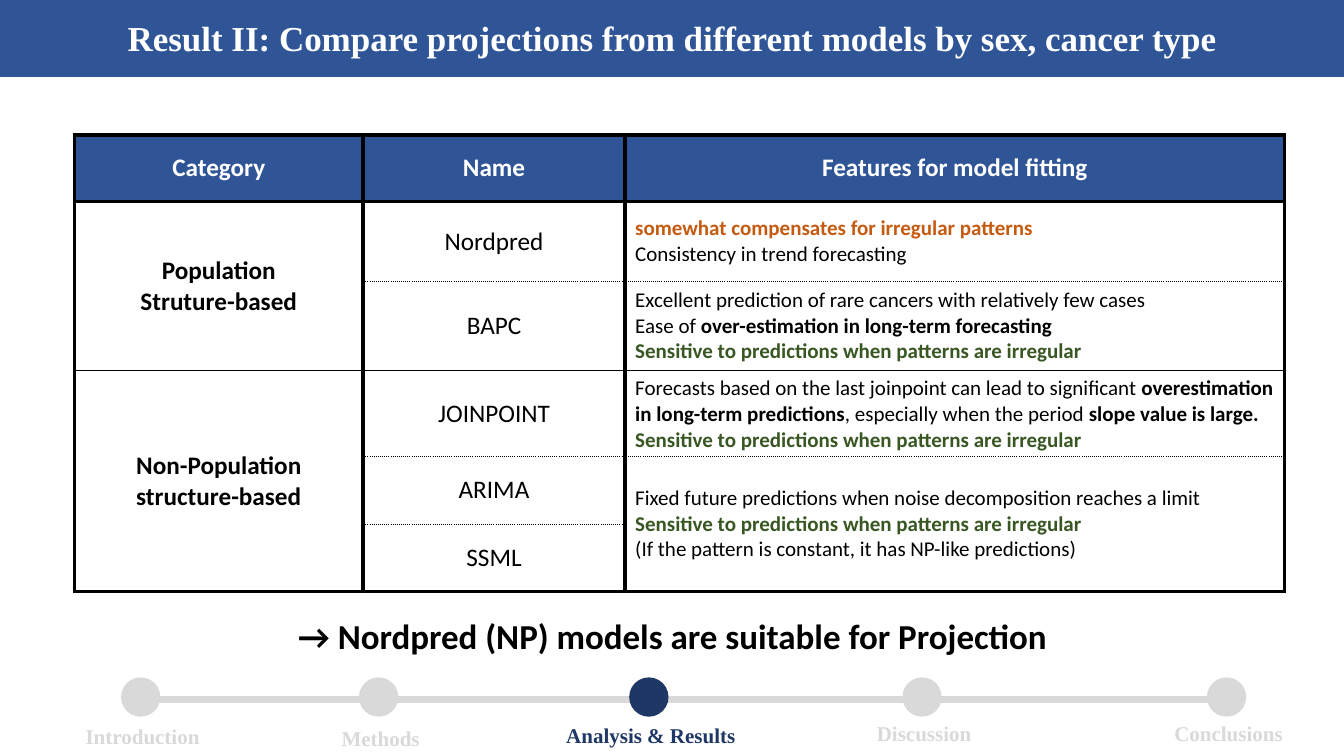
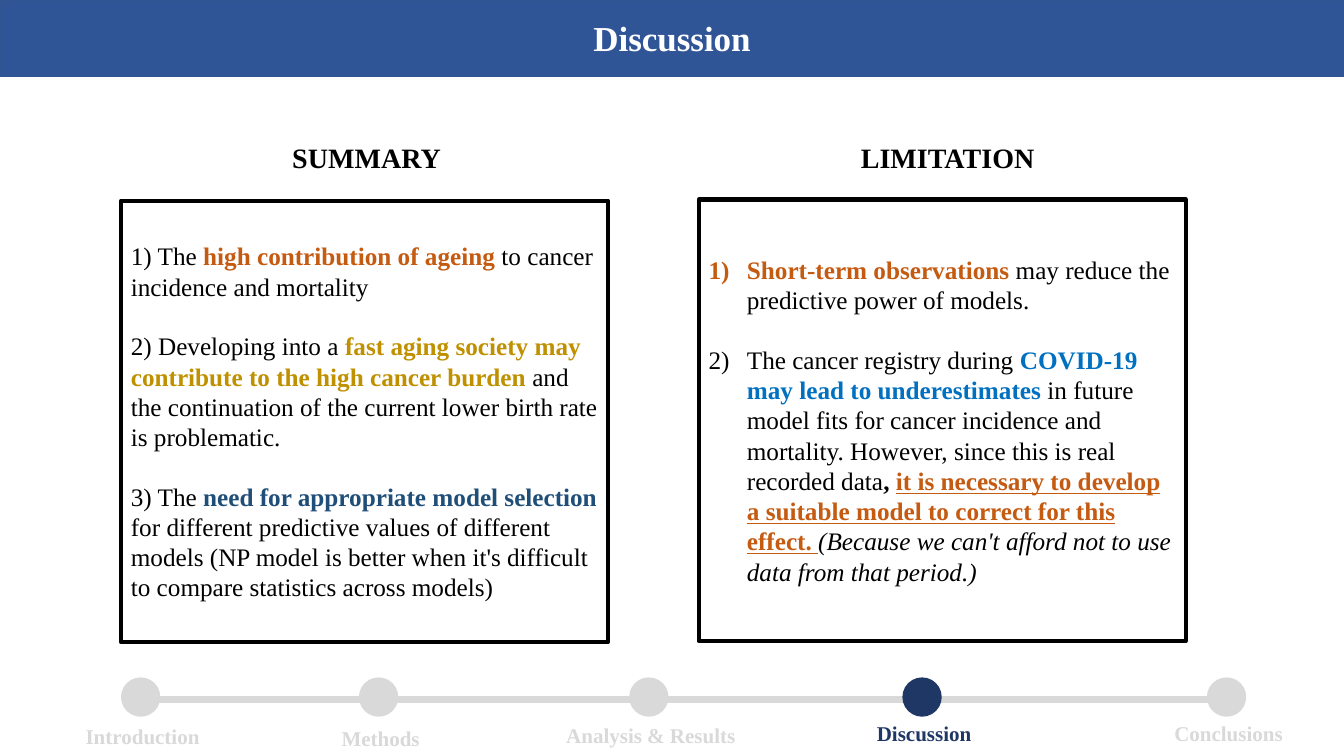
from dataclasses import dataclass, replace
from typing import NamedTuple, Optional

from lxml.etree import SubElement
from pptx import Presentation
from pptx.dml.color import RGBColor
from pptx.enum.shapes import MSO_CONNECTOR, MSO_SHAPE
from pptx.enum.text import MSO_ANCHOR, MSO_AUTO_SIZE, PP_ALIGN
from pptx.oxml.ns import qn
from pptx.presentation import Presentation as Deck
from pptx.shapes.autoshape import Shape
from pptx.slide import Slide
from pptx.table import _Cell as Cell
from pptx.text.text import Font, TextFrame
from pptx.util import Inches, Pt


@dataclass(frozen=True)
class Theme:
    serif: str = "Times New Roman"
    sans: str = "Calibri"
    band: str = "2F5597"
    band_line: str = "325491"
    inactive: str = "D9D9D9"
    active: str = "1F3764"
    white: str = "FFFFFF"
    black: str = "000000"
    orange: str = "C55A11"
    green: str = "385723"
    gold: str = "BF9000"
    navy: str = "1F4E79"
    blue: str = "0070C0"
    title_size: float = 25
    heading_size: float = 20
    body_size: float = 18
    small_size: float = 15
    paragraph_gap: float = 21
    thick: float = 3
    thin: float = 1


THEME = Theme()
SLIDE_WIDTH = 13.33
SLIDE_HEIGHT = 7.5


@dataclass(frozen=True)
class Style:
    font: str
    size: float
    color: str = THEME.black
    bold: bool = False
    align: PP_ALIGN = PP_ALIGN.CENTER


class Run(NamedTuple):
    text: str
    color: Optional[str] = None
    bold: Optional[bool] = None
    italic: Optional[bool] = None
    underline: Optional[bool] = None


Lines = list[list[Run]]


class Box(NamedTuple):
    left: float
    top: float
    width: float
    height: float

    def lengths(self) -> list[Inches]:
        return [Inches(value) for value in self]


class Step(NamedTuple):
    name: str
    left: float
    label_top: float
    label_width: float


class Edge(NamedTuple):
    width: float
    dash: str = "solid"


class Entry(NamedTuple):
    row: int
    column: int
    row_span: int
    lines: Lines


class Panel(NamedTuple):
    heading: str
    heading_box: Box
    box: Box
    lines: Lines
    numbered: bool


TITLE = Style(THEME.serif, THEME.title_size, THEME.white, True)
STEP_LABEL = Style(THEME.serif, THEME.small_size, THEME.inactive, True)
HEADING = Style(THEME.serif, THEME.heading_size, bold=True, align=PP_ALIGN.LEFT)
PANEL_TEXT = Style(THEME.serif, THEME.body_size, align=PP_ALIGN.LEFT)
CONCLUSION = Style(THEME.sans, THEME.title_size, bold=True)
TABLE_HEADER = Style(THEME.sans, THEME.body_size, THEME.white, True)
COLUMN_STYLES = [
    Style(THEME.sans, THEME.body_size, bold=True),
    Style(THEME.sans, THEME.body_size),
    Style(THEME.sans, THEME.small_size, align=PP_ALIGN.LEFT),
]

STEPS = [
    Step("Introduction", 1.2, 7.13, 1.34),
    Step("Methods", 3.56, 7.15, 0.99),
    Step("Analysis & Results", 6.24, 7.12, 1.9),
    Step("Discussion", 8.95, 7.1, 1.15),
    Step("Conclusions", 11.97, 7.1, 1.29),
]
DOT_TOP = 6.72
DOT_SIZE = 0.39
LABEL_SHIFT = 0.02

TABLE_BOX = Box(0.74, 1.34, 12, 4.52)
COLUMN_WIDTHS = [2.86, 2.6, 6.54]
ROW_HEIGHTS = [0.66, 0.79, 0.89, 0.84, 0.67, 0.67]
OUTER = Edge(THEME.thick)
INNER = Edge(THEME.thin)
DOTTED = Edge(THEME.thin, "sysDot")
ROW_EDGES = [OUTER, OUTER, DOTTED, INNER, DOTTED, DOTTED, OUTER]
SENSITIVE = [Run("Sensitive to predictions when patterns are irregular", THEME.green, True)]
ENTRIES = [
    Entry(0, 0, 1, [[Run("Category")]]),
    Entry(0, 1, 1, [[Run("Name")]]),
    Entry(0, 2, 1, [[Run("Features for model fitting")]]),
    Entry(1, 0, 2, [[Run("Population")], [Run("Struture-based")]]),
    Entry(1, 1, 1, [[Run("Nordpred")]]),
    Entry(1, 2, 1, [
        [Run("somewhat compensates for irregular patterns", THEME.orange, True)],
        [Run("Consistency in trend forecasting")],
    ]),
    Entry(2, 1, 1, [[Run("BAPC")]]),
    Entry(2, 2, 1, [
        [Run("Excellent prediction of rare cancers with relatively few cases")],
        [Run("Ease of"), Run(" over-estimation in long-term forecasting", bold=True)],
        SENSITIVE,
    ]),
    Entry(3, 0, 3, [[Run("Non-Population")], [Run("structure-based")]]),
    Entry(3, 1, 1, [[Run("JOINPOINT")]]),
    Entry(3, 2, 1, [
        [
            Run("Forecasts based on the last joinpoint can lead to significant "),
            Run("overestimation in long-term predictions", bold=True),
            Run(", especially when the period "),
            Run("slope value is large.", bold=True),
        ],
        SENSITIVE,
    ]),
    Entry(4, 1, 1, [[Run("ARIMA")]]),
    Entry(4, 2, 2, [
        [Run("Fixed future predictions when noise decomposition reaches a limit")],
        SENSITIVE,
        [Run("(If the pattern is constant, it has NP-like predictions)")],
    ]),
    Entry(5, 1, 1, [[Run("SSML")]]),
]

PANELS = [
    Panel("SUMMARY", Box(2.8, 1.34, 1.69, 0.44), Box(1.2, 1.99, 4.83, 4.38), [
        [
            Run("1) The "),
            Run("high contribution of ageing", THEME.orange, True),
            Run(" to cancer incidence and mortality"),
        ],
        [
            Run("2) Developing into a "),
            Run("fast aging society may contribute to the high cancer burden ", THEME.gold, True),
            Run("and the continuation of the current lower birth rate is problematic."),
        ],
        [
            Run("3) The "),
            Run("need for appropriate model selection ", THEME.navy, True),
            Run("for different predictive values of different models (NP model is better "
                "when it's difficult to compare statistics across models)"),
        ],
    ], False),
    Panel("LIMITATION", Box(8.44, 1.34, 1.94, 0.44), Box(6.93, 1.98, 4.83, 4.38), [
        [
            Run("Short-term observations ", THEME.orange, True),
            Run("may reduce the predictive power of models."),
        ],
        [
            Run("The cancer registry during "),
            Run("COVID-19 may lead to underestimates", THEME.blue, True),
            Run(" in future model fits for cancer incidence and mortality. "
                "However, since this is real recorded data"),
            Run(", ", bold=True),
            Run("it is necessary to develop a suitable model to correct for this effect. ",
                THEME.orange, True, underline=True),
            Run("(Because we can't afford not to use data from that period.)", italic=True),
        ],
    ], True),
]


def rgb(color: str) -> RGBColor:
    return RGBColor.from_string(color)


def emphasise(font: Font, run: Run) -> None:
    if run.color:
        font.color.rgb = rgb(run.color)
    for name in ("bold", "italic", "underline"):
        value = getattr(run, name)
        if value is not None:
            setattr(font, name, value)


def write(frame: TextFrame, lines: Lines, style: Style, gap: float = 0,
          numbered: bool = False) -> None:
    for index, runs in enumerate(lines):
        paragraph = frame.add_paragraph() if index else frame.paragraphs[0]
        paragraph.alignment = style.align
        if index and gap:
            paragraph.space_before = Pt(gap)
        if numbered:
            properties = paragraph._p.get_or_add_pPr()
            properties.set("marL", str(Inches(0.38)))
            properties.set("indent", str(Inches(-0.38)))
            SubElement(properties, qn("a:buAutoNum"), type="arabicParenR")
        font = paragraph.font
        font.name, font.size, font.bold = style.font, Pt(style.size), style.bold
        font.color.rgb = rgb(style.color)
        for run in runs:
            part = paragraph.add_run()
            part.text = run.text
            emphasise(font if len(runs) == 1 else part.font, run)


def add_text(slide: Slide, box: Box, text: str, style: Style, wrap: bool = False) -> None:
    frame = slide.shapes.add_textbox(*box.lengths()).text_frame
    frame.word_wrap = wrap
    frame.auto_size = MSO_AUTO_SIZE.SHAPE_TO_FIT_TEXT
    write(frame, [[Run(text)]], style)


def add_filled(shapes, kind: MSO_SHAPE, box: Box, color: str) -> Shape:
    shape = shapes.add_shape(kind, *box.lengths())
    shape.shadow.inherit = False
    shape.fill.solid()
    shape.fill.fore_color.rgb = rgb(color)
    shape.line.fill.background()
    return shape


def add_tracker(slide: Slide, current: str) -> None:
    shapes = slide.shapes.add_group_shape().shapes
    track = shapes.add_connector(
        MSO_CONNECTOR.STRAIGHT, Inches(1.28), Inches(6.94), Inches(12.32), Inches(6.94))
    track.line.color.rgb = rgb(THEME.inactive)
    track.line.width = Pt(4.5)
    SubElement(track._element.spPr, qn("a:effectLst"))
    for step in STEPS:
        color = THEME.active if step.name == current else THEME.inactive
        add_filled(shapes, MSO_SHAPE.OVAL, Box(step.left, DOT_TOP, DOT_SIZE, DOT_SIZE), color)
        label_left = step.left + (DOT_SIZE - step.label_width) / 2 + LABEL_SHIFT
        add_text(slide, Box(label_left, step.label_top, step.label_width, 0.35),
                 step.name, replace(STEP_LABEL, color=color))


def add_slide(presentation: Deck, title: str, title_width: float, current: str) -> Slide:
    slide = presentation.slides.add_slide(presentation.slide_layouts[6])
    band = add_filled(slide.shapes, MSO_SHAPE.RECTANGLE, Box(0, 0, SLIDE_WIDTH, 0.76), THEME.band)
    band.line.color.rgb = rgb(THEME.band_line)
    band.line.width = Pt(THEME.thin)
    add_tracker(slide, current)
    title_left = (SLIDE_WIDTH - title_width) / 2
    add_text(slide, Box(title_left, 0.11, title_width, 0.52), title, TITLE)
    return slide


def set_borders(cell: Cell, top: Edge, bottom: Edge) -> None:
    properties = cell._tc.get_or_add_tcPr()
    for side, edge in zip("LRTB", (OUTER, OUTER, top, bottom)):
        line = SubElement(properties, qn(f"a:ln{side}"), w=str(Pt(edge.width)))
        fill = SubElement(line, qn("a:solidFill"))
        SubElement(fill, qn("a:srgbClr"), val=THEME.black)
        SubElement(line, qn("a:prstDash"), val=edge.dash)


def add_model_table(slide: Slide) -> None:
    table = slide.shapes.add_table(
        len(ROW_HEIGHTS), len(COLUMN_WIDTHS), *TABLE_BOX.lengths()).table
    table.first_row = table.horz_banding = False
    for column, width in zip(table.columns, COLUMN_WIDTHS):
        column.width = Inches(width)
    for row, height in zip(table.rows, ROW_HEIGHTS):
        row.height = Inches(height)
    for entry in ENTRIES:
        end = entry.row + entry.row_span
        cell = table.cell(entry.row, entry.column)
        if entry.row_span > 1:
            cell.merge(table.cell(end - 1, entry.column))
        for row in range(entry.row, end):
            part = table.cell(row, entry.column)
            set_borders(part, ROW_EDGES[entry.row], ROW_EDGES[end])
            if entry.row:
                part.fill.background()
            else:
                part.fill.solid()
                part.fill.fore_color.rgb = rgb(THEME.band)
        cell.vertical_anchor = MSO_ANCHOR.MIDDLE
        style = COLUMN_STYLES[entry.column] if entry.row else TABLE_HEADER
        write(cell.text_frame, entry.lines, style)


def add_panel(slide: Slide, panel: Panel) -> None:
    add_text(slide, panel.heading_box, panel.heading, HEADING)
    shape = slide.shapes.add_shape(MSO_SHAPE.RECTANGLE, *panel.box.lengths())
    shape.shadow.inherit = False
    shape.fill.background()
    shape.line.color.rgb = rgb(THEME.black)
    shape.line.width = Pt(THEME.thick)
    frame = shape.text_frame
    frame.word_wrap = True
    frame.vertical_anchor = MSO_ANCHOR.MIDDLE
    write(frame, panel.lines, PANEL_TEXT, THEME.paragraph_gap, panel.numbered)


def main() -> None:
    presentation = Presentation()
    presentation.slide_width = Inches(SLIDE_WIDTH)
    presentation.slide_height = Inches(SLIDE_HEIGHT)
    result = add_slide(
        presentation, "Result II: Compare projections from different models by sex, cancer type",
        11.49, "Analysis & Results")
    add_model_table(result)
    add_text(result, Box(2.72, 6.05, 7.9, 0.52),
             "→ Nordpred (NP) models are suitable for Projection", CONCLUSION, wrap=True)
    discussion = add_slide(presentation, "Discussion", 1.78, "Discussion")
    for panel in PANELS:
        add_panel(discussion, panel)
    presentation.save("out.pptx")


if __name__ == "__main__":
    main()
